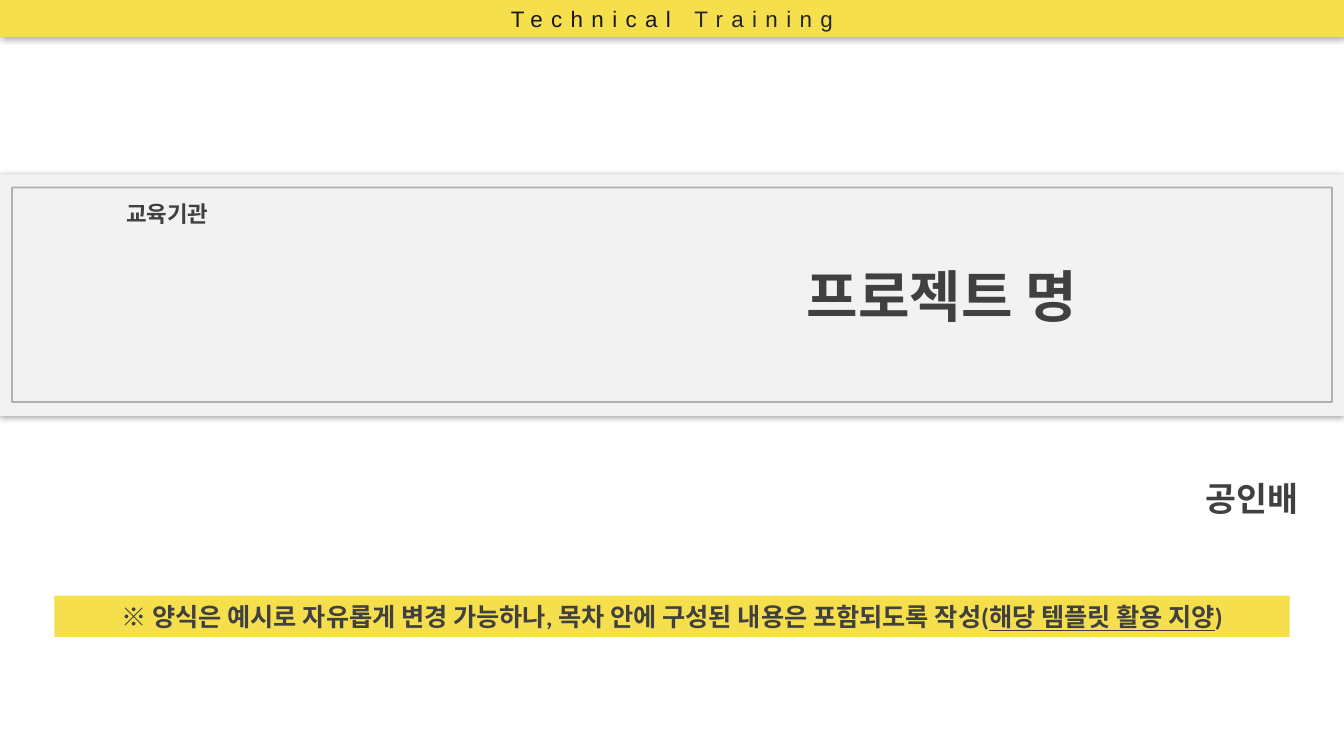
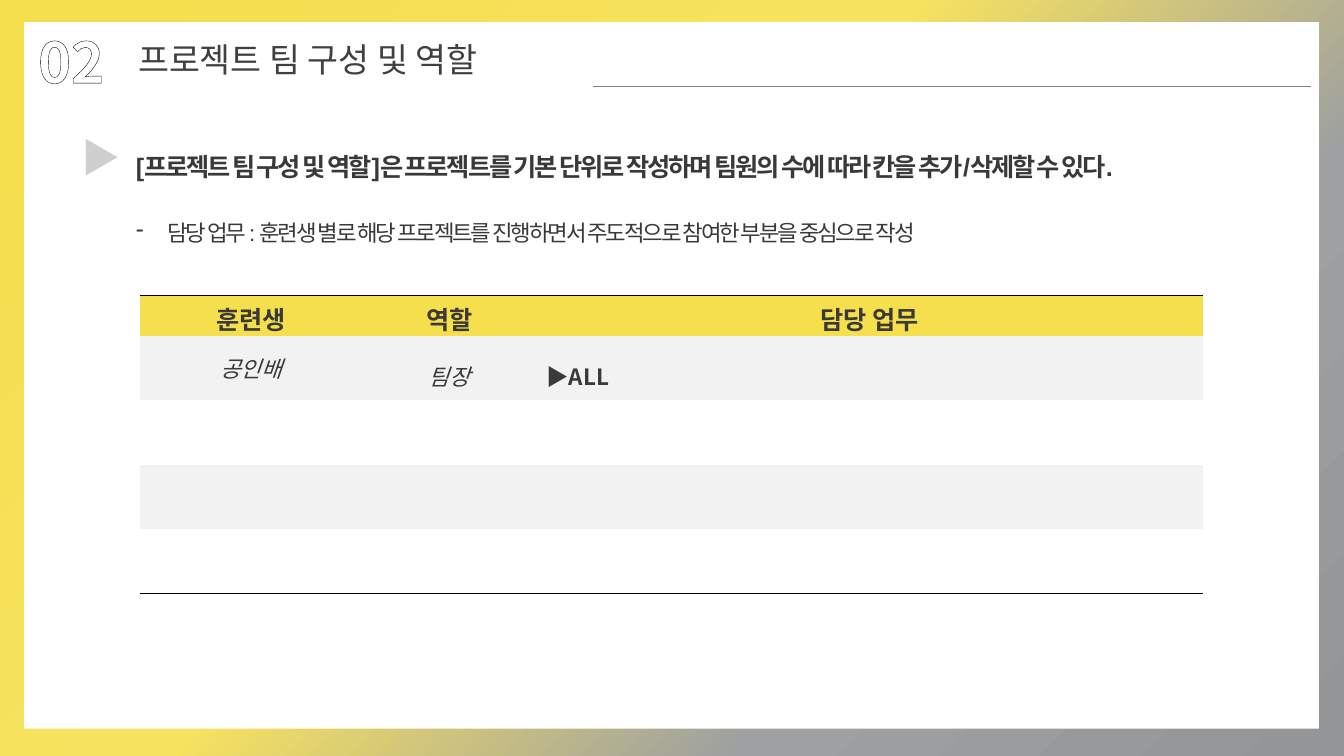
from dataclasses import dataclass
from typing import Optional

from lxml.etree import SubElement
from pptx import Presentation
from pptx.dml.color import RGBColor
from pptx.enum.dml import MSO_PATTERN
from pptx.enum.shapes import MSO_CONNECTOR, MSO_SHAPE
from pptx.enum.text import MSO_ANCHOR, MSO_AUTO_SIZE, PP_ALIGN
from pptx.oxml import parse_xml
from pptx.oxml.ns import nsdecls, qn
from pptx.util import Inches, Pt

# Shared colours and fonts
YELLOW = RGBColor(0xF5, 0xDF, 0x4D)
PALE_YELLOW = RGBColor(0xF6, 0xE2, 0x5F)
GRAY = RGBColor(0x93, 0x95, 0x97)
PALE_GRAY = RGBColor(0x9E, 0xA0, 0xA1)
LIGHT_GRAY = RGBColor(0xF2, 0xF2, 0xF2)
WARM_GRAY = RGBColor(0xD0, 0xCE, 0xCE)
LINE_GRAY = RGBColor(0x80, 0x80, 0x80)
DARK = RGBColor(0x40, 0x40, 0x40)
INK = RGBColor(0x3B, 0x38, 0x38)
BAR_INK = RGBColor(0x18, 0x17, 0x17)
SOFT_BLACK = RGBColor(0x26, 0x26, 0x26)
WHITE = RGBColor(0xFF, 0xFF, 0xFF)
BLACK = RGBColor(0, 0, 0)
KOREAN = "Noto Sans CJK KR"
PLAIN_TABLE_STYLE = "{2D5ABB26-0587-4C30-8999-92F81FD0307C}"


@dataclass(frozen=True)
class Box:
    left: float
    top: float
    width: float
    height: float

    def lengths(self) -> list:
        return [Inches(value) for value in
                (self.left, self.top, self.width, self.height)]


@dataclass(frozen=True)
class Style:
    size: float
    color: RGBColor = DARK
    font: str = KOREAN
    bold: bool = False
    italic: bool = False
    underline: bool = False
    spacing: float = 0
    pattern_back: Optional[RGBColor] = None
    outline: Optional[RGBColor] = None
    outline_width: float = 1


@dataclass(frozen=True)
class Layout:
    align: PP_ALIGN = PP_ALIGN.LEFT
    anchor: MSO_ANCHOR = MSO_ANCHOR.TOP
    line_spacing: float = 1
    inset: float = 0.05
    wrap: bool = True
    grow: bool = True


@dataclass(frozen=True)
class Cell:
    text: str
    style: Style
    align: PP_ALIGN = PP_ALIGN.CENTER
    line_spacing: float = 1


def set_all(target, values: dict) -> None:
    for name, value in values.items():
        setattr(target, name, value)


def solid_line(tag: str, color: RGBColor, width: float):
    return parse_xml(
        f'<a:{tag} {nsdecls("a")} w="{Pt(width)}"><a:solidFill>'
        f'<a:srgbClr val="{color}"/></a:solidFill></a:{tag}>')


# Text
def add_run(paragraph, text: str, style: Style) -> None:
    run = paragraph.add_run()
    run.text = text
    font = run.font
    set_all(font, {"size": Pt(style.size), "bold": style.bold,
                   "italic": style.italic, "underline": style.underline,
                   "name": style.font})
    if style.pattern_back is None:
        font.color.rgb = style.color
    else:
        font.fill.patterned()
        font.fill.pattern = MSO_PATTERN.DARK_UPWARD_DIAGONAL
        font.fill.fore_color.rgb = style.color
        font.fill.back_color.rgb = style.pattern_back
    properties = run._r.get_or_add_rPr()
    SubElement(properties, qn("a:ea")).set("typeface", KOREAN)
    if style.spacing:
        properties.set("spc", str(int(style.spacing * 100)))
    if style.outline is not None:
        properties.insert(
            0, solid_line("ln", style.outline, style.outline_width))


def write(shape, runs: list, layout: Layout) -> None:
    frame = shape.text_frame
    set_all(frame, {
        "word_wrap": layout.wrap, "vertical_anchor": layout.anchor,
        "auto_size": (MSO_AUTO_SIZE.SHAPE_TO_FIT_TEXT if layout.grow
                      else MSO_AUTO_SIZE.NONE),
        "margin_left": Inches(0.1), "margin_right": Inches(0.1),
        "margin_top": Inches(layout.inset),
        "margin_bottom": Inches(layout.inset)})
    paragraph = frame.paragraphs[0]
    set_all(paragraph, {"alignment": layout.align, "space_before": Pt(0),
                        "line_spacing": layout.line_spacing})
    for text, style in runs:
        add_run(paragraph, text, style)


def add_text(slide, box: Box, text: str, style: Style,
             layout: Layout = Layout()) -> None:
    write(slide.shapes.add_textbox(*box.lengths()), [(text, style)], layout)


def fill_placeholder(placeholder, box: Box, text: str, style: Style,
                     layout: Layout = Layout()) -> None:
    """Place a placeholder in front of the shapes drawn so far."""
    placeholder.element.getparent().append(placeholder.element)
    set_all(placeholder, dict(zip(("left", "top", "width", "height"),
                                  box.lengths())))
    write(placeholder, [(text, style)], layout)


def add_dash(paragraph, indent: float) -> None:
    properties = paragraph._p.get_or_add_pPr()
    properties.set("marL", str(Inches(indent)))
    properties.set("indent", str(-Inches(indent)))
    SubElement(properties, qn("a:buFontTx"))
    SubElement(properties, qn("a:buChar")).set("char", "-")


# Shapes
def add_panel(slide, box: Box, color: Optional[RGBColor],
              shadow: bool = False):
    panel = slide.shapes.add_shape(MSO_SHAPE.RECTANGLE, *box.lengths())
    panel.shadow.inherit = False
    panel.line.fill.background()
    if color is None:
        panel.fill.background()
    else:
        panel.fill.solid()
        panel.fill.fore_color.rgb = color
    if shadow:
        panel.element.spPr.find(qn("a:effectLst")).append(parse_xml(
            f'<a:outerShdw {nsdecls("a")} blurRad="{Pt(5)}" dist="0" dir="0">'
            f'<a:srgbClr val="{BLACK}"><a:alpha val="40000"/></a:srgbClr>'
            '</a:outerShdw>'))
    return panel


def add_rule(slide, left: float, right: float, top: float) -> None:
    rule = slide.shapes.add_connector(
        MSO_CONNECTOR.STRAIGHT, Inches(left), Inches(top),
        Inches(right), Inches(top))
    rule.line.color.rgb = LINE_GRAY
    rule.line.width = Pt(1)
    SubElement(rule.element.spPr, qn("a:effectLst"))


def set_gradient(slide, stops: list) -> None:
    fill = slide.background.fill
    fill.gradient()
    gradient = slide.element.find(".//" + qn("a:gradFill"))
    stop_xml = "".join(
        f'<a:gs pos="{position * 1000}"><a:srgbClr val="{color}">'
        f'<a:alpha val="{opacity * 1000}"/></a:srgbClr></a:gs>'
        for position, color, opacity in stops)
    gradient.getparent().replace(gradient, parse_xml(
        f'<a:gradFill {nsdecls("a")} rotWithShape="1"><a:gsLst>{stop_xml}'
        '</a:gsLst><a:lin ang="2700000" scaled="0"/></a:gradFill>'))


# Table
def add_role_table(slide, box: Box, widths: list, heights: list,
                   rows: list) -> None:
    frame = slide.shapes.add_table(len(heights), len(widths), *box.lengths())
    frame.element.find(".//" + qn("a:tableStyleId")).text = PLAIN_TABLE_STYLE
    table = frame.table
    set_all(table, {"first_row": False, "horz_banding": False})
    for column, width in zip(table.columns, widths):
        column.width = Inches(width)
    last = len(heights) - 1
    for index, height in enumerate(heights):
        table.rows[index].height = Inches(height)
        band = LIGHT_GRAY if index % 2 else WHITE
        for cell in table.rows[index].cells:
            cell.vertical_anchor = MSO_ANCHOR.MIDDLE
            cell.fill.solid()
            cell.fill.fore_color.rgb = band if index else YELLOW
            if index in (0, last):
                edge = "lnB" if index else "lnT"
                cell._tc.get_or_add_tcPr().insert(
                    0, solid_line(edge, BLACK, 0.75))
    for row, contents in zip(table.rows, rows):
        for cell, content in zip(row.cells, contents):
            paragraph = cell.text_frame.paragraphs[0]
            set_all(paragraph, {"alignment": content.align,
                                "line_spacing": content.line_spacing})
            add_run(paragraph, content.text, content.style)


presentation = Presentation()
presentation.slide_width = Inches(13.33)
presentation.slide_height = Inches(7.5)
CENTER = PP_ALIGN.CENTER

# Slide 1: cover
cover = presentation.slides.add_slide(presentation.slide_layouts[0])
fill_placeholder(cover.placeholders[1], Box(7.34, 4.54, 5.64, 0.53), "공인배",
                 Style(24, font="Arial", bold=True),
                 Layout(PP_ALIGN.RIGHT, line_spacing=1.5, inset=0))
notice = add_panel(cover, Box(0.54, 5.91, 12.25, 0.41), YELLOW)
notice_style = Style(18, font="Calibri", bold=True)
write(notice, [
    ("※ 양식은 예시로 자유롭게 변경 가능하나, 목차 안에 구성된 내용은 "
     "포함되도록 작성(", notice_style),
    ("해당 템플릿 활용 지양",
     Style(18, font="Calibri", bold=True, underline=True)),
    (")", notice_style),
], Layout(CENTER, MSO_ANCHOR.MIDDLE, grow=False))
add_panel(cover, Box(0, 1.73, 13.33, 2.4), LIGHT_GRAY, shadow=True)
add_text(cover, Box(0.22, 1.94, 2.88, 0.37), "교육기관",
         Style(16, bold=True), Layout(CENTER))
fill_placeholder(cover.shapes.title, Box(5.64, 2.59, 7.4, 0.67),
                 "프로젝트 명", Style(40, font="Arial", bold=True),
                 Layout(CENTER, inset=0))
top_bar = add_panel(cover, Box(0, 0, 13.33, 0.37), YELLOW, shadow=True)
write(top_bar, [
    ("Technical ", Style(16, BAR_INK, "Arial", spacing=6)),
    ("Training", Style(16, SOFT_BLACK, "Arial", spacing=6)),
], Layout(CENTER, grow=False))
title_frame = add_panel(cover, Box(0.12, 1.86, 13.09, 2.13), None)
title_frame.line.color.rgb = GRAY
title_frame.line.width = Pt(1.25)
frame_color = title_frame.element.spPr.find(
    f'{qn("a:ln")}/{qn("a:solidFill")}/{qn("a:srgbClr")}')
SubElement(frame_color, qn("a:alpha")).set("val", "70000")

# Slide 2: team and roles
team = presentation.slides.add_slide(presentation.slide_layouts[1])
set_gradient(team, [(0, YELLOW, 100), (44, PALE_YELLOW, 70),
                    (71, PALE_GRAY, 70), (100, GRAY, 100)])
add_panel(team, Box(0.24, 0.22, 12.84, 7.01), WHITE)
add_text(team, Box(0.28, 0.22, 1.27, 0.77), "02 ",
         Style(40, INK, bold=True, pattern_back=WHITE, outline=BLACK,
               outline_width=1.25))
add_rule(team, 5.88, 13, 0.86)
fill_placeholder(team.shapes.title, Box(1.27, 0.34, 4.24, 0.5),
                 "프로젝트 팀 구성 및 역할", Style(24), Layout(wrap=False))
add_text(team, Box(0.71, 1.27, 0.55, 0.57), "▶",
         Style(28, GRAY, bold=True, pattern_back=WARM_GRAY, outline=GRAY))
add_text(team, Box(1.25, 1.3, 11.16, 0.56),
         "[프로젝트 팀 구성 및 역할]은 프로젝트를 기본 단위로 작성하며 "
         "팀원의 수에 따라 칸을 추가/삭제할 수 있다.",
         Style(18, INK, "Arial", bold=True, spacing=-1.5),
         Layout(line_spacing=1.5))
duties = team.placeholders[1]
fill_placeholder(duties, Box(1.25, 2.12, 9.84, 0.37),
                 "담당 업무 : 훈련생 별로 해당 프로젝트를 진행하면서 "
                 "주도적으로 참여한 부분을 중심으로 작성",
                 Style(16, INK, "Arial", spacing=-1.5))
add_dash(duties.text_frame.paragraphs[0], 0.31)

header = Style(18, INK, "Calibri", bold=True)
member = Style(16, INK, "Calibri", italic=True)
task = Style(16, INK, bold=True, outline=GRAY)
add_role_table(team, Box(1.39, 2.93, 10.54, 2.95), [2.2, 1.73, 6.61],
               [0.3] + [0.64] * 4, [
    [Cell(text, header) for text in ("훈련생", "역할", "담당 업무")],
    [Cell("공인배", member), Cell("팀장", member, line_spacing=1.5),
     Cell("▶ALL", task, PP_ALIGN.LEFT, 1.5)],
])

presentation.save("out.pptx")
